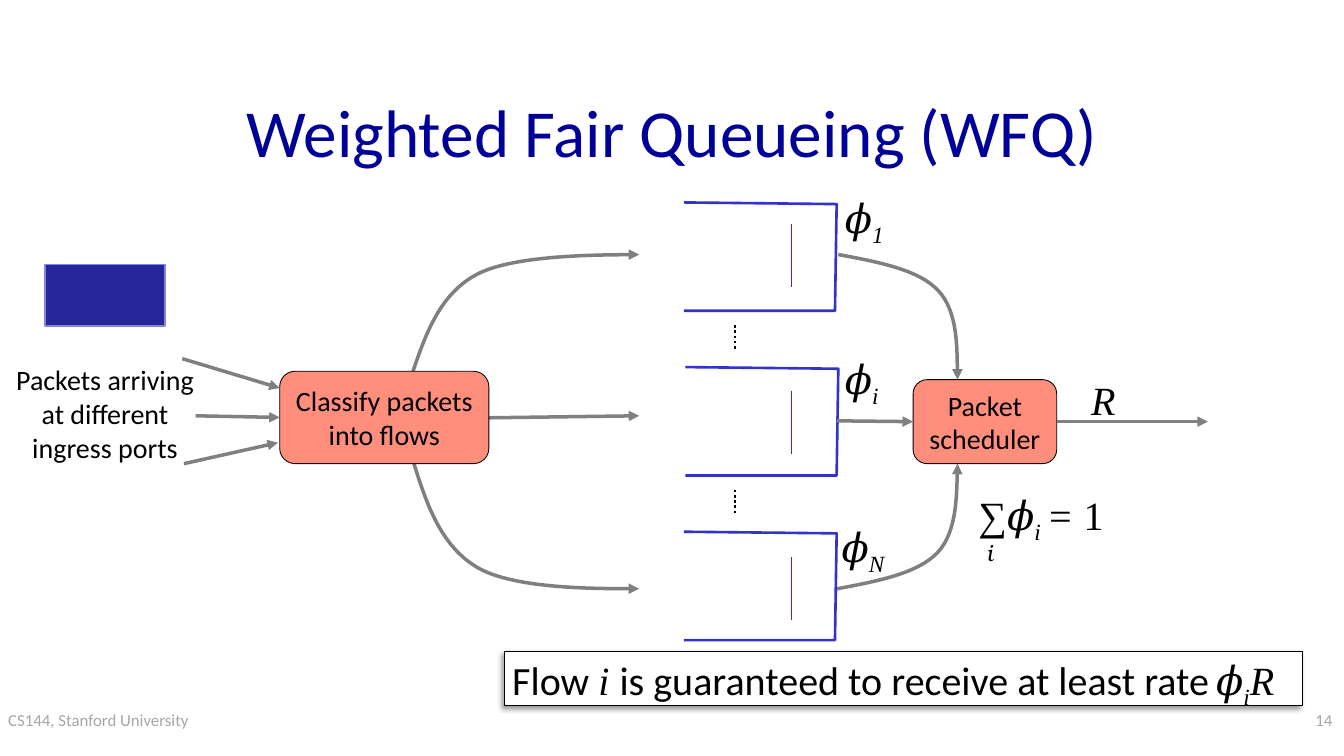
from dataclasses import dataclass

from lxml.etree import SubElement
from pptx import Presentation
from pptx.dml.color import RGBColor
from pptx.enum.dml import MSO_LINE
from pptx.enum.shapes import MSO_CONNECTOR, MSO_SHAPE
from pptx.enum.text import MSO_ANCHOR, PP_ALIGN
from pptx.oxml.ns import qn
from pptx.util import Inches, Pt


@dataclass(frozen=True)
class Theme:
    title: str = "000099"
    ink: str = "000000"
    muted: str = "A6A6A6"
    paper: str = "FFFFFF"
    arrow: str = "808080"
    curve: str = "7F7F7F"
    queue: str = "3333CC"
    stage: str = "FF8E7D"
    packet: str = "262699"
    packet_edge: str = "8585E0"
    sans: str = "Calibri"
    serif: str = "Times New Roman"
    index: str = "TeX Gyre Bonum"
    title_size: float = 57.6
    math_size: float = 34.3
    body_size: float = 24
    footer_size: float = 14.4


T = Theme()
CENTER, RIGHT = PP_ALIGN.CENTER, PP_ALIGN.RIGHT
MATH = dict(font=T.serif, italic=True)
SUB = dict(MATH, sub=True)

prs = Presentation()
prs.slide_width, prs.slide_height = Inches(16), Inches(9)
s = prs.slides.add_slide(prs.slide_layouts[6])


def write(where, runs, size=T.body_size, color=T.ink, align=PP_ALIGN.LEFT,
          anchor=MSO_ANCHOR.TOP, wrap=True):
    """Fill a shape, or a new text box at (left, top, width, height), with (text, format) runs."""
    if isinstance(where, tuple):
        where = s.shapes.add_textbox(*map(Inches, where))
    tf = where.text_frame
    tf.word_wrap, tf.vertical_anchor = wrap, anchor
    p = tf.paragraphs[0]
    p.alignment = align
    for text, style in [(runs, {})] if isinstance(runs, str) else runs:
        r = p.add_run()
        r.text = text
        r.font.size = Pt(size)
        r.font.name = style.get("font", T.sans)
        r.font.italic = style.get("italic", False)
        r.font.color.rgb = RGBColor.from_string(color)
        if style.get("sub"):
            r._r.get_or_add_rPr().set("baseline", "-25000")
    return where


def outline(sp, color, width, arrow=False, dash=None):
    """Set the line of a shape or connector and return its empty effect list."""
    sp.line.color.rgb = RGBColor.from_string(color)
    sp.line.width = Pt(width)
    if dash:
        sp.line.dash_style = dash
    if arrow:
        SubElement(sp.line._get_or_add_ln(), qn("a:tailEnd"), type="triangle")
    return SubElement(sp._element.spPr, qn("a:effectLst"))


# Title and footer
write((1.2, 0.8, 13.6, 1.5), "Weighted Fair Queueing (WFQ)", size=T.title_size,
      color=T.title, align=CENTER, anchor=MSO_ANCHOR.MIDDLE)
write((0, 8.4, 3.87, 0.6), "CS144, Stanford University", size=T.footer_size, color=T.muted)
write((12.63, 8.4, 3.33, 0.6), "14", size=T.footer_size, color=T.muted, align=RIGHT)

# Flow curves and open-ended queues
curves = [
    [(9.96, 7.01), (10.44, 6.92), (10.92, 6.83), (11.16, 6.58),
     (11.4, 6.33), (11.4, 5.52), (11.4, 5.52)],
    [(9.98, 3.03), (10.46, 3.12), (10.94, 3.21), (11.17, 3.46),
     (11.41, 3.71), (11.4, 4.52), (11.4, 4.52)],
    [(4.91, 5.46), (5.07, 5.98), (5.24, 6.5), (5.69, 6.76),
     (6.14, 7.02), (7.61, 7.01), (7.61, 7.01)],
    [(4.91, 4.44), (5.07, 3.97), (5.24, 3.49), (5.69, 3.26),
     (6.14, 3.03), (7.61, 3.03), (7.61, 3.03)],
]
queues = [[(x, y), (x + 1.82, y + 0.02), (x + 1.8, y + 1.29), (x, y + 1.29)]
          for x, y in [(8.14, 2.41), (8.16, 4.37), (8.14, 6.33)]]
for points in curves + queues:
    start, *rest = [(Inches(x), Inches(y)) for x, y in points]
    builder = s.shapes.build_freeform(*start)
    builder.add_line_segments(rest, close=False)
    sp = builder.convert_to_shape()
    sp.fill.background()
    if points in queues:
        outline(sp, T.queue, 2.25)
        continue
    outline(sp, T.curve, 3, arrow=True)
    path = next(sp._element.iter(qn("a:path")))
    segments = path.findall(qn("a:lnTo"))
    for i in range(0, len(segments), 3):  # three points make one Bézier segment
        bezier = SubElement(path, qn("a:cubicBezTo"))
        for segment in segments[i:i + 3]:
            bezier.append(segment[0])
            path.remove(segment)

# Plain lines: queue heads, gaps between queues, middle flow
heads = [(9.42, 2.67 + 1.98 * i, 9.42, 3.42 + 1.98 * i) for i in range(3)]
gaps = [(8.75, y, 8.75, y + 0.3) for y in (3.87, 5.83)]
for ends, style in (
    [(e, dict(color=T.queue, width=0.75)) for e in heads]
    + [(e, dict(color=T.ink, width=2.25, dash=MSO_LINE.ROUND_DOT)) for e in gaps]
    + [((5.35, 4.98, 7.61, 4.95), dict(color=T.arrow, width=3, arrow=True))]
):
    outline(s.shapes.add_connector(MSO_CONNECTOR.STRAIGHT, *map(Inches, ends)), **style)

# Boxes
boxes = []
for kind, box, fill, edge, width, text in [
    (MSO_SHAPE.ROUNDED_RECTANGLE, (3.33, 4.42, 2.49, 1.1), T.stage, T.ink, 0.75,
     "Classify packets into flows"),
    (MSO_SHAPE.ROUNDED_RECTANGLE, (10.87, 4.52, 1.71, 1), T.stage, T.ink, 0.75,
     "Packet scheduler"),
    (MSO_SHAPE.RECTANGLE, (0.54, 3.15, 1.42, 0.73), T.packet, T.packet_edge, 1.5, ""),
    (MSO_SHAPE.RECTANGLE, (6, 7.75, 9.5, 0.65), T.paper, T.ink, 0.75, ""),
]:
    sp = s.shapes.add_shape(kind, *map(Inches, box))
    sp.fill.solid()
    sp.fill.fore_color.rgb = RGBColor.from_string(fill)
    effects = outline(sp, edge, width)
    if text:
        write(sp, text, align=CENTER, anchor=MSO_ANCHOR.MIDDLE)
    boxes.append(sp)
classifier, scheduler, packet, banner = boxes

shadow = SubElement(effects, qn("a:outerShdw"), blurRad=str(Pt(4)), dist=str(Pt(3)),
                    dir="8100000", algn="tr", rotWithShape="0")
tint = SubElement(shadow, qn("a:srgbClr"), val=T.ink)
SubElement(tint, qn("a:alpha"), val="40000")

# Arrows into and out of the boxes
for ends, source, target in [
    ((2.17, 4.27, 3.33, 4.62), None, None),
    ((2.33, 4.95, 3.33, 4.97), None, classifier),
    ((2.19, 5.52, 3.31, 5.27), None, None),
    ((9.96, 5.01, 10.87, 5.02), None, scheduler),
    ((12.58, 5.02, 14.38, 5.02), scheduler, None),
]:
    link = s.shapes.add_connector(MSO_CONNECTOR.STRAIGHT, *map(Inches, ends))
    if source:
        link.begin_connect(source, 3)
    if target:
        link.end_connect(target, 1)
    outline(link, T.arrow, 3, arrow=True)

# Labels and formulas
write((0, 4.27, 2.5, 1.31), "Packets arriving at different ingress ports", align=CENTER)
for box, index in [((9.96, 2.25, 0.71, 0.68), "1"), ((9.96, 4.17, 0.62, 0.68), "i"),
                   ((9.92, 6.17, 0.75, 0.68), "N")]:
    write(box, [("𝜙", MATH), (index, SUB)], size=T.math_size, wrap=False)
write((11.55, 5.79, 1.78, 0.68),
      [("∑𝜙", MATH), ("i ", SUB), ("= ", MATH), ("1", dict(font=T.serif))], size=T.math_size)
write((11.64, 6.04, 0.29, 0.68), [("i", dict(SUB, font=T.index))], size=T.math_size, wrap=False)
write((12.89, 4.42, 0.5, 0.68), [("R", MATH)], size=T.math_size, wrap=False)

# Guarantee
guarantee = write((6, 7.75, 8.6, 0.68),
                  [("Flow ", {}), ("i ", MATH), ("is guaranteed to receive at least rate", {})],
                  size=T.math_size)
rate = write((14.38, 7.75, 0.91, 0.68), [("𝜙", MATH), ("i", SUB), ("R", MATH)],
             size=T.math_size, wrap=False)
s.shapes.add_group_shape([banner, guarantee, rate])

prs.save("out.pptx")
